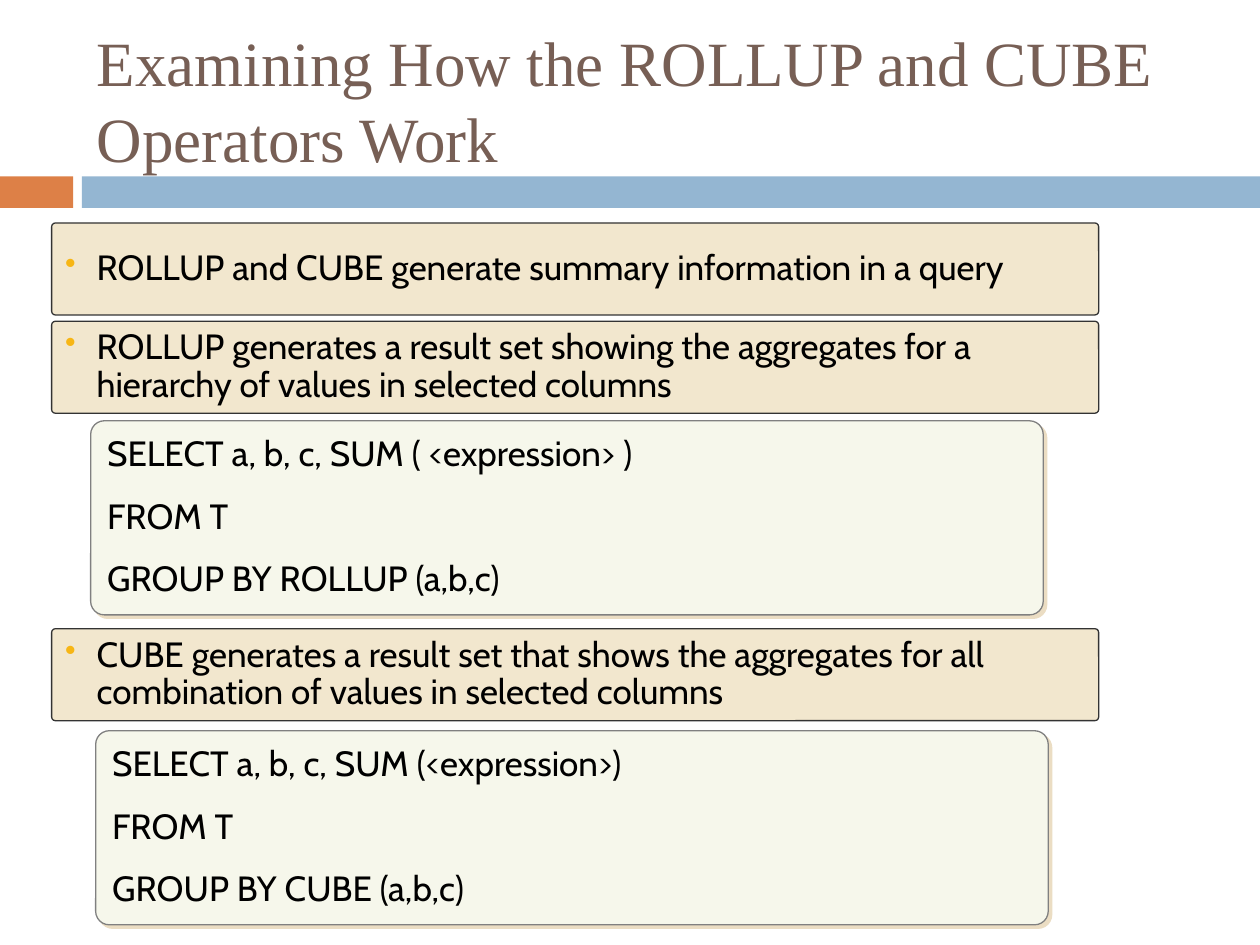
import pptx
import pptx.util
import pptx.dml.color
import pptx.enum.shapes
import pptx.enum.text
import pptx.oxml
import pptx.oxml.ns

Inches = pptx.util.Inches
Pt = pptx.util.Pt
KIND = pptx.enum.shapes.MSO_SHAPE
NS = pptx.oxml.ns.nsdecls("a")
HUES = {
    "title": "775F55", "orange": "DD8047", "blue": "94B6D2",
    "code": "F6F7EB", "edge": "808080", "shade": "EBDDC3",
    "point": "F2E7CE", "rim": "333333", "dot": "F7B615", "ink": "000000",
}


def rgb(name):
    return pptx.dml.color.RGBColor.from_string(HUES[name])


def write(shape, text, font="Cabin", size=20, hue="ink", gap=0, space=1.0, dot=False):
    frame = shape.text_frame
    frame.word_wrap = True
    frame.vertical_anchor = pptx.enum.text.MSO_ANCHOR.MIDDLE
    frame.text = text
    for i, para in enumerate(frame.paragraphs):
        if dot:
            props = para._p.get_or_add_pPr()
            props.set("marL", str(Inches(0.25)))
            props.set("indent", str(-Inches(0.25)))
            for xml in (
                f'<a:buClr {NS}><a:srgbClr val="{HUES["dot"]}"/></a:buClr>',
                f'<a:buSzPct {NS} val="90000"/>',
                f'<a:buChar {NS} char="•"/>',
            ):
                props.append(pptx.oxml.parse_xml(xml))
        para.alignment = pptx.enum.text.PP_ALIGN.LEFT
        para.line_spacing = space
        para.space_before = Pt(gap if i else 0)
        para.font.name = font
        para.font.size = Pt(size)
        para.font.color.rgb = rgb(hue)


def block(x, y, w, h, fill, line=None, bend=None):
    kind = KIND.RECTANGLE if bend is None else KIND.ROUNDED_RECTANGLE
    shape = slide.shapes.add_shape(kind, Inches(x), Inches(y), Inches(w), Inches(h))
    shape.shadow.inherit = False
    shape.fill.solid()
    shape.fill.fore_color.rgb = rgb(fill)
    if bend is not None:
        shape.adjustments[0] = bend
    if line:
        shape.line.color.rgb = rgb(line)
        shape.line.width = Pt(0.75)
    else:
        shape.line.fill.background()
    return shape


deck = pptx.Presentation()
deck.slide_width = Inches(10)
deck.slide_height = Inches(7.5)
slide = deck.slides.add_slide(deck.slide_layouts[6])

block(0, 1.4, 0.58, 0.25, "orange")
block(0.65, 1.4, 9.35, 0.25, "blue")

title = slide.shapes.add_textbox(Inches(0.67), Inches(0.25), Inches(8.92), Inches(1.08))
write(title, "Examining How the ROLLUP and CUBE Operators Work",
      font="Times New Roman", size=36, hue="title")

codes = [
    (0.76, 5.8, "SELECT a, b, c, SUM (<expression>)\nFROM T\nGROUP BY CUBE (a,b,c)"),
    (0.72, 3.34, "SELECT a, b, c, SUM ( <expression> )\nFROM T\nGROUP BY ROLLUP (a,b,c)"),
]
for x, y, text in codes:
    card = block(x, y, 7.56, 1.54, "code", line="edge", bend=0.07)
    glow = card._element.spPr.find(pptx.oxml.ns.qn("a:effectLst"))
    glow.append(pptx.oxml.parse_xml(
        f'<a:outerShdw {NS} dist="{Pt(2.8)}" dir="2700000" algn="ctr" rotWithShape="0">'
        f'<a:srgbClr val="{HUES["shade"]}"/></a:outerShdw>'))
    write(card, text, gap=14, space=0.9)

points = [
    (1.77, "ROLLUP and CUBE generate summary information in a query"),
    (2.55, "ROLLUP generates a result set showing the aggregates for a "
           "hierarchy of values in selected columns"),
    (4.99, "CUBE generates a result set that shows the aggregates for all "
           "combination of values in selected columns"),
]
for y, text in points:
    bar = block(0.41, y, 8.31, 0.73, "point", line="rim", bend=0.04)
    write(bar, text, space=0.9, dot=True)

deck.save("out.pptx")
